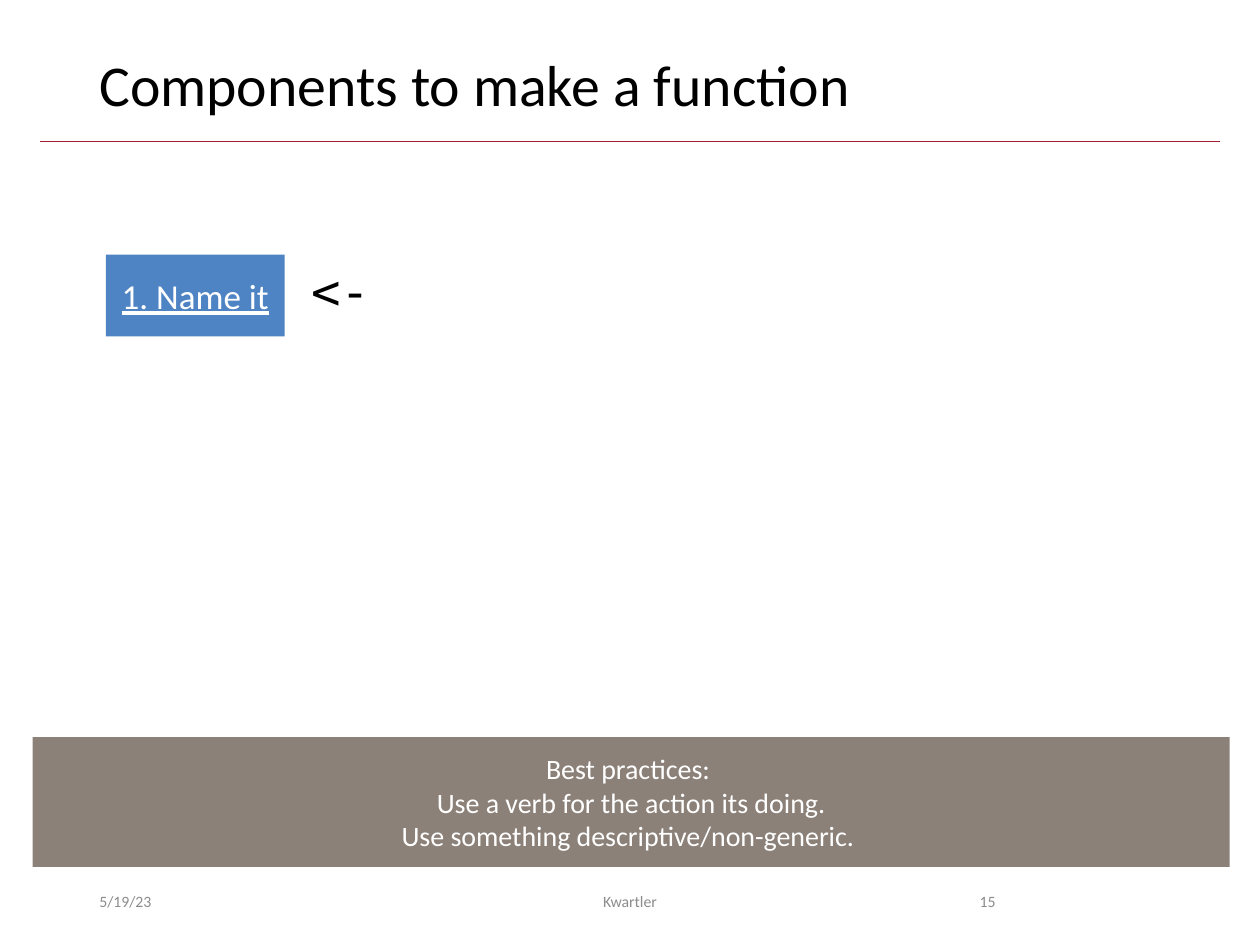
from lxml import etree
from pptx import Presentation
from pptx import util as u
from pptx.dml.color import RGBColor
from pptx.enum import shapes, text
from pptx.oxml.ns import qn

WIDTH, HEIGHT = u.Inches(10), u.Inches(7.5)
BLACK = RGBColor(0x00, 0x00, 0x00)
WHITE = RGBColor(0xFF, 0xFF, 0xFF)
GRAY = RGBColor(0x8C, 0x8C, 0x8C)
CRIMSON = RGBColor(0xA5, 0x1C, 0x30)
BLUE = RGBColor(0x4E, 0x84, 0xC4)
TAUPE = RGBColor(0x8C, 0x81, 0x79)
LEFT, CENTER, RIGHT = text.PP_ALIGN.LEFT, text.PP_ALIGN.CENTER, text.PP_ALIGN.RIGHT
TOP, MIDDLE = text.MSO_ANCHOR.TOP, text.MSO_ANCHOR.MIDDLE


def inches(box):
    """Turn left, top, width and height in inches into lengths."""
    return [u.Inches(length) for length in box]


def write(shape, lines, size, color, align=LEFT, anchor=TOP, font="Calibri", underline=None):
    """Write one paragraph per line into a shape and return its text frame."""
    frame = shape.text_frame
    frame.word_wrap = True
    frame.vertical_anchor = anchor
    for index, line in enumerate(lines):
        paragraph = frame.add_paragraph() if index else frame.paragraphs[0]
        paragraph.alignment = align
        run = paragraph.add_run()
        run.text = line
        run.font.name = font
        run.font.size = u.Pt(size)
        run.font.color.rgb = color
        run.font.underline = underline
    return frame


def add_label(slide, box, line, size, color, **style):
    """Add a one-line text box and return its text frame."""
    return write(slide.shapes.add_textbox(*inches(box)), [line], size, color, **style)


def add_panel(slide, box, fill, lines, size, **style):
    """Add a filled rectangle with centred white text."""
    panel = slide.shapes.add_shape(shapes.MSO_SHAPE.RECTANGLE, *inches(box))
    panel.shadow.inherit = False
    panel.fill.solid()
    panel.fill.fore_color.rgb = fill
    panel.line.fill.background()
    write(panel, lines, size, WHITE, align=CENTER, anchor=MIDDLE, **style)


def add_rule(slide, margin, top):
    """Add the thin horizontal line below the title."""
    y = u.Inches(top)
    rule = slide.shapes.add_connector(
        shapes.MSO_CONNECTOR.STRAIGHT, u.Inches(margin), y, WIDTH - u.Inches(margin), y)
    rule.line.color.rgb = CRIMSON
    rule.line.width = u.Pt(0.5)
    etree.SubElement(rule._element.spPr, qn("a:effectLst"))


def add_footer(slide):
    """Add the date, author and slide number."""
    for left, width, line, align in (
        (0.69, 2.25, "5/19/23", LEFT),
        (3.31, 3.38, "Kwartler", CENTER),
        (7.06, 0.94, "15", RIGHT),
    ):
        add_label(slide, (left, 6.95, width, 0.4), line, 9, GRAY, align=align, anchor=MIDDLE)


def main():
    """Build and save the slide."""
    presentation = Presentation()
    presentation.slide_width, presentation.slide_height = WIDTH, HEIGHT
    slide = presentation.slides.add_slide(presentation.slide_layouts[6])

    add_rule(slide, 0.32, 1.12)
    title = add_label(slide, (0.69, 0.4, 8.62, 0.65), "Components to make a function", 33, BLACK)
    title.paragraphs[0].line_spacing = 0.9
    add_footer(slide)

    add_panel(slide, (0.84, 2.02, 1.42, 0.65), BLUE, ["1. Name it"], 20, underline=True)
    assignment = add_label(slide, (2.37, 2.02, 0.85, 0.57), "<-", 28, BLACK, font="DejaVu Sans Mono")
    assignment.word_wrap = False
    assignment.auto_size = text.MSO_AUTO_SIZE.SHAPE_TO_FIT_TEXT

    best_practices = [
        "Best practices: ",
        "Use a verb for the action its doing.",
        "Use something descriptive/non-generic. ",
    ]
    add_panel(slide, (0.26, 5.85, 9.5, 1.03), TAUPE, best_practices, 16)
    presentation.save("out.pptx")


if __name__ == "__main__":
    main()
